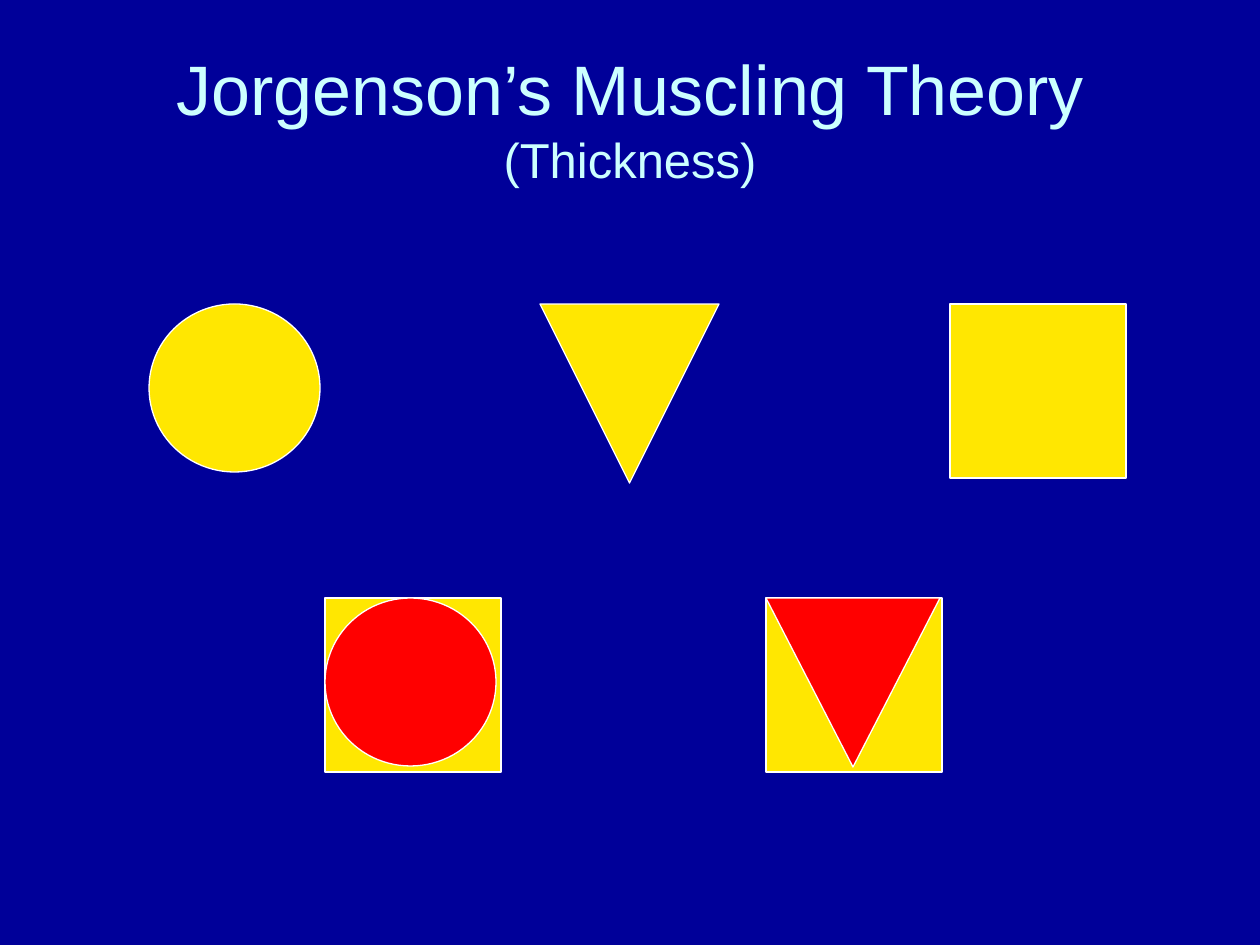
from pptx import Presentation
from pptx.dml.color import RGBColor
from pptx.enum.shapes import MSO_SHAPE
from pptx.enum.text import MSO_ANCHOR, PP_ALIGN
from pptx.util import Emu, Pt

PX = 914400 / 126
NAVY, PALE, YELLOW, RED, WHITE = "000099", "CCFFFF", "FFE701", "FF0000", "FFFFFF"


def px(length):
    return Emu(round(length * PX))


def color(value):
    return RGBColor.from_string(value)


class Painter:
    font_name = "Arial"
    line_width = Pt(0.75)

    def __init__(self, page):
        self.page = page

    def background(self, fill):
        self.page.background.fill.solid()
        self.page.background.fill.fore_color.rgb = color(fill)

    def title(self, left, top, width, height, lines):
        box = self.page.shapes.add_textbox(*map(px, (left, top, width, height)))
        frame_format = {"word_wrap": True, "vertical_anchor": MSO_ANCHOR.MIDDLE}
        for name, value in frame_format.items():
            setattr(box.text_frame, name, value)
        para = box.text_frame.paragraphs[0]
        para.alignment = PP_ALIGN.CENTER
        for index, (text, size) in enumerate(lines):
            if index:
                para.add_line_break()
            span = para.add_run()
            span.text = text
            for name, value in {"name": self.font_name, "size": Pt(size)}.items():
                setattr(span.font, name, value)
            span.font.color.rgb = color(PALE)

    def shape(self, kind, left, top, width, height, fill, rotation=0):
        figure = self.page.shapes.add_shape(kind, *map(px, (left, top, width, height)))
        figure.shadow.inherit = False
        figure.rotation = rotation
        figure.fill.solid()
        figure.fill.fore_color.rgb = color(fill)
        figure.line.color.rgb = color(WHITE)
        figure.line.width = self.line_width

    def square(self, left, top):
        self.shape(MSO_SHAPE.RECTANGLE, left, top, 176, 174, YELLOW)

    def circle(self, left, top, fill):
        self.shape(MSO_SHAPE.OVAL, left, top, 171, 168, fill)

    def wedge(self, left, top, width, height, fill):
        self.shape(MSO_SHAPE.ISOSCELES_TRIANGLE, left, top, width, height, fill, 180)


def main():
    deck = Presentation()
    deck.slide_width, deck.slide_height = px(1260), px(945)
    painter = Painter(deck.slides.add_slide(deck.slide_layouts[6]))
    painter.background(NAVY)
    painter.title(63, 38, 1134, 157,
                  [("Jorgenson’s Muscling Theory", 40), ("(Thickness)", 28)])

    upper, lower = 304, 598
    painter.circle(149, upper, YELLOW)
    painter.wedge(540, upper, 179, 179, YELLOW)
    painter.square(950, upper)

    round_left, wedge_left = 325, 766
    for left in (round_left, wedge_left):
        painter.square(left, lower)
    painter.circle(round_left, lower, RED)
    painter.wedge(wedge_left, lower, 174, 169, RED)
    deck.save("out.pptx")


if __name__ == "__main__":
    main()
